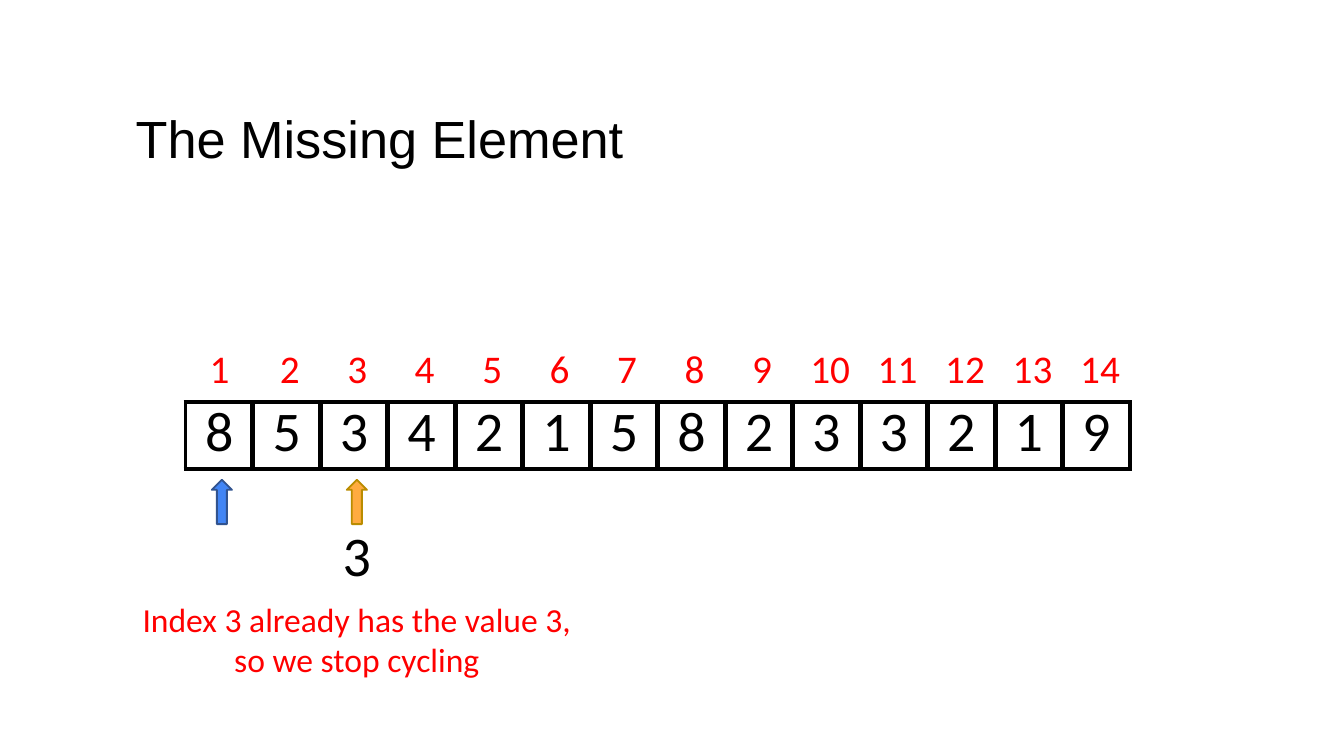
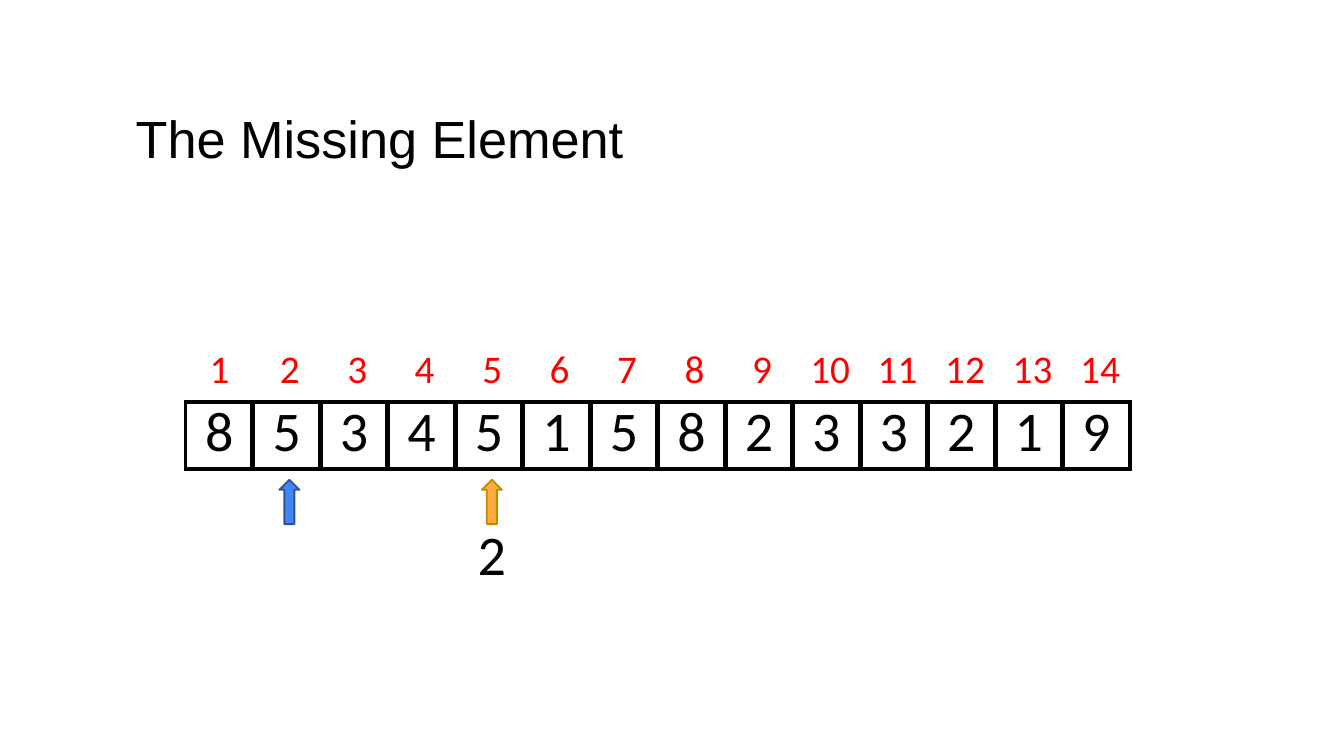
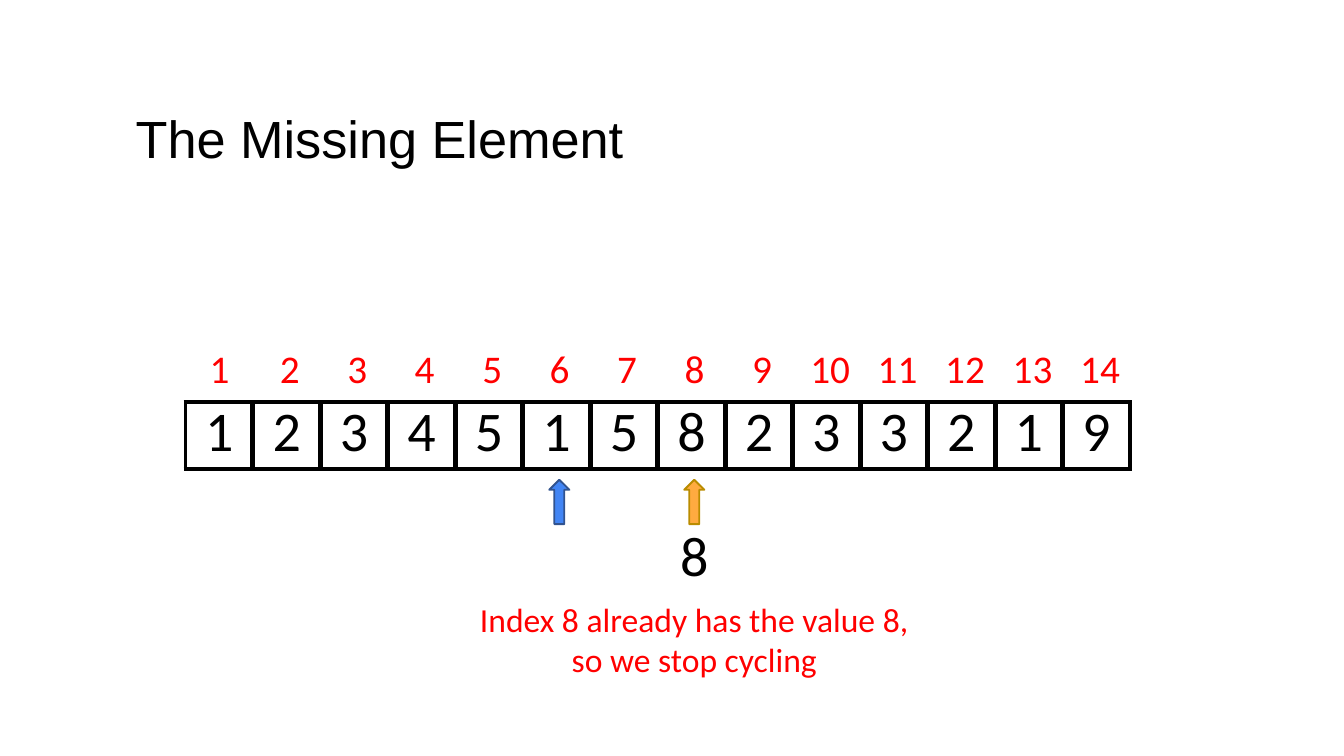
from collections import namedtuple
from dataclasses import dataclass

from lxml.etree import SubElement
from pptx import Presentation
from pptx.dml.color import RGBColor
from pptx.enum.shapes import MSO_SHAPE
from pptx.enum.text import MSO_AUTO_SIZE, PP_ALIGN
from pptx.oxml.ns import qn
from pptx.util import Inches, Pt

Box = namedtuple("Box", "x y w h")
Step = namedtuple("Step", "values start current carried note")


@dataclass(frozen=True)
class Theme:
    ink: str = "000000"
    red: str = "FF0000"
    start_fill: str = "4285F4"
    start_line: str = "31538F"
    current_fill: str = "FFAB40"
    current_line: str = "BA8C00"
    title_font: str = "Arial"
    body_font: str = "Calibri"
    title_size: float = 28
    value_size: float = 30
    index_size: float = 21
    note_size: float = 18
    value_leading: float = 34.9
    outer_line: float = 2.25
    inner_line: float = 3


THEME = Theme()
GRID_COLUMNS = 100
UNIT = Inches(10) // GRID_COLUMNS
TITLE = Box(10, 7.8, 36.5, 4.9)
ARRAY = Box(13.8, 29.9, 70.3, 5)
CELLS = 14
CELL_W = ARRAY.w / CELLS
POINTER_SHIFT = 0.2

STEPS = [
    Step("85342158233219", 1, 3, "3",
         "Index 3 already has the value 3, so we stop cycling"),
    Step("85345158233219", 2, 5, "2", None),
    Step("12345158233219", 6, 8, "8",
         "Index 8 already has the value 8, so we stop cycling"),
]


def grid(n):
    return round(n * UNIT)


def emu(box):
    return [grid(n) for n in box]


def style(p, size, color, font=THEME.body_font):
    for r in p.runs:
        r.font.name = font
        r.font.size = Pt(size)
        r.font.color.rgb = RGBColor.from_string(color)


def add_text(s, box, text, size, color, font=THEME.body_font, top=0.1):
    sp = s.shapes.add_textbox(*emu(box))
    tf = sp.text_frame
    tf.word_wrap = True
    tf.auto_size = MSO_AUTO_SIZE.SHAPE_TO_FIT_TEXT
    tf.margin_left, tf.margin_top = grid(0.1), grid(top)
    tf.margin_right = tf.margin_bottom = 0
    p = tf.paragraphs[0]
    p.text = text
    p.space_before = Pt(1)
    style(p, size, color, font)
    return tf


def set_borders(cell, **widths):
    tcPr = cell._tc.get_or_add_tcPr()
    for i, (side, width) in enumerate(widths.items()):
        ln = tcPr.makeelement(qn(f"a:{side}"), {"w": str(Pt(width))})
        fill = SubElement(ln, qn("a:solidFill"))
        SubElement(fill, qn("a:srgbClr"), val=THEME.ink)
        tcPr.insert(i, ln)


def add_array(s, box, values):
    table = s.shapes.add_table(1, CELLS, *emu(box)).table
    table.first_row = table.horz_banding = False
    table.rows[0].height = grid(box.h)
    for i, value in enumerate(values):
        table.columns[i].width = grid(CELL_W)
        cell = table.cell(0, i)
        cell.margin_left = cell.margin_right = 0
        cell.margin_top = cell.margin_bottom = 0
        cell.fill.background()
        p = cell.text_frame.paragraphs[0]
        p.text = value
        p.alignment = PP_ALIGN.CENTER
        p.line_spacing = Pt(THEME.value_leading)
        style(p, THEME.value_size, THEME.ink)
        set_borders(
            cell,
            lnL=THEME.inner_line if i else THEME.outer_line,
            lnR=THEME.inner_line if i < CELLS - 1 else THEME.outer_line,
            lnT=THEME.outer_line,
            lnB=THEME.outer_line,
        )


def add_indices(s, array):
    box = Box(array.x + 1.7, array.y - 4.4, 68.4, 3.8)
    labels = [str(i + 1) for i in range(CELLS)]
    tf = add_text(s, box, "\t".join(labels), THEME.index_size, THEME.red)
    tabs = SubElement(tf.paragraphs[0]._p.get_or_add_pPr(), qn("a:tabLst"))
    for i, label in enumerate(labels[1:], 1):
        shift = 0.2 if len(label) == 1 else -0.5
        SubElement(tabs, qn("a:tab"), pos=str(grid(i * CELL_W + shift)), algn="l")


def pointer_x(array, index):
    return array.x + CELL_W * (index - 0.5) + POINTER_SHIFT


def add_pointer(s, array, index, fill, line):
    w, h = 1.5, 3.3
    box = Box(pointer_x(array, index) - w / 2, array.y + 5.8, w, h)
    sp = s.shapes.add_shape(MSO_SHAPE.UP_ARROW, *emu(box))
    sp.shadow.inherit = False
    sp.fill.solid()
    sp.fill.fore_color.rgb = RGBColor.from_string(fill)
    sp.line.color.rgb = RGBColor.from_string(line)
    sp.line.width = Pt(1)


def add_carried(s, array, step):
    w, h, drop, top = (32.1, 13.5, 7.3, 1.5) if step.note else (2.4, 5.3, 8.7, 0.1)
    box = Box(pointer_x(array, step.current) - w / 2, array.y + drop, w, h)
    tf = add_text(s, box, step.carried, THEME.value_size, THEME.ink, top=top)
    tf.margin_left = 0
    tf.paragraphs[0].alignment = PP_ALIGN.CENTER
    if step.note:
        p = tf.add_paragraph()
        p.text = step.note
        p.alignment = PP_ALIGN.CENTER
        p.space_before = Pt(6)
        style(p, THEME.note_size, THEME.red)


def add_step_slide(prs, step):
    s = prs.slides.add_slide(prs.slide_layouts[6])
    add_text(s, TITLE, "The Missing Element", THEME.title_size, THEME.ink,
             THEME.title_font)
    add_array(s, ARRAY, step.values)
    add_indices(s, ARRAY)
    add_pointer(s, ARRAY, step.start, THEME.start_fill, THEME.start_line)
    add_pointer(s, ARRAY, step.current, THEME.current_fill, THEME.current_line)
    add_carried(s, ARRAY, step)


def main():
    prs = Presentation()
    prs.slide_width = GRID_COLUMNS * UNIT
    prs.slide_height = prs.slide_width * 9 // 16
    for step in STEPS:
        add_step_slide(prs, step)
    prs.save("out.pptx")


if __name__ == "__main__":
    main()
